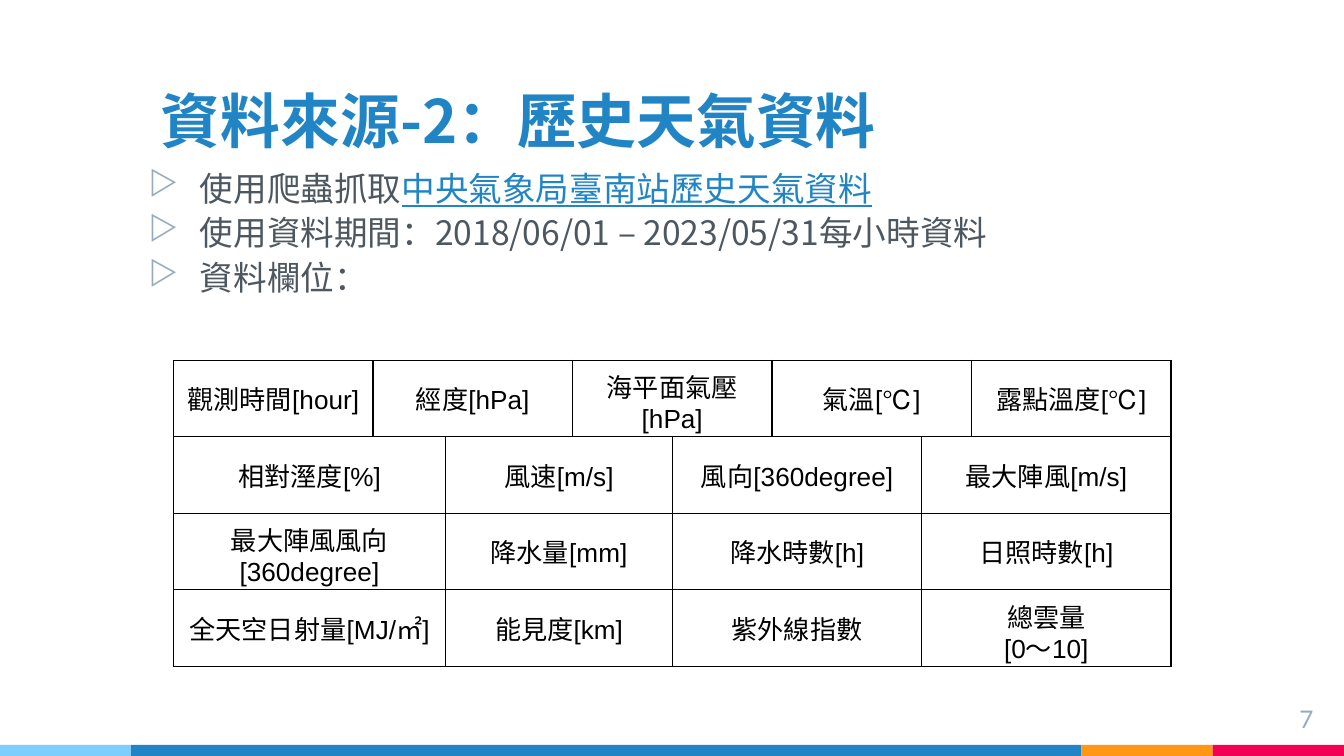
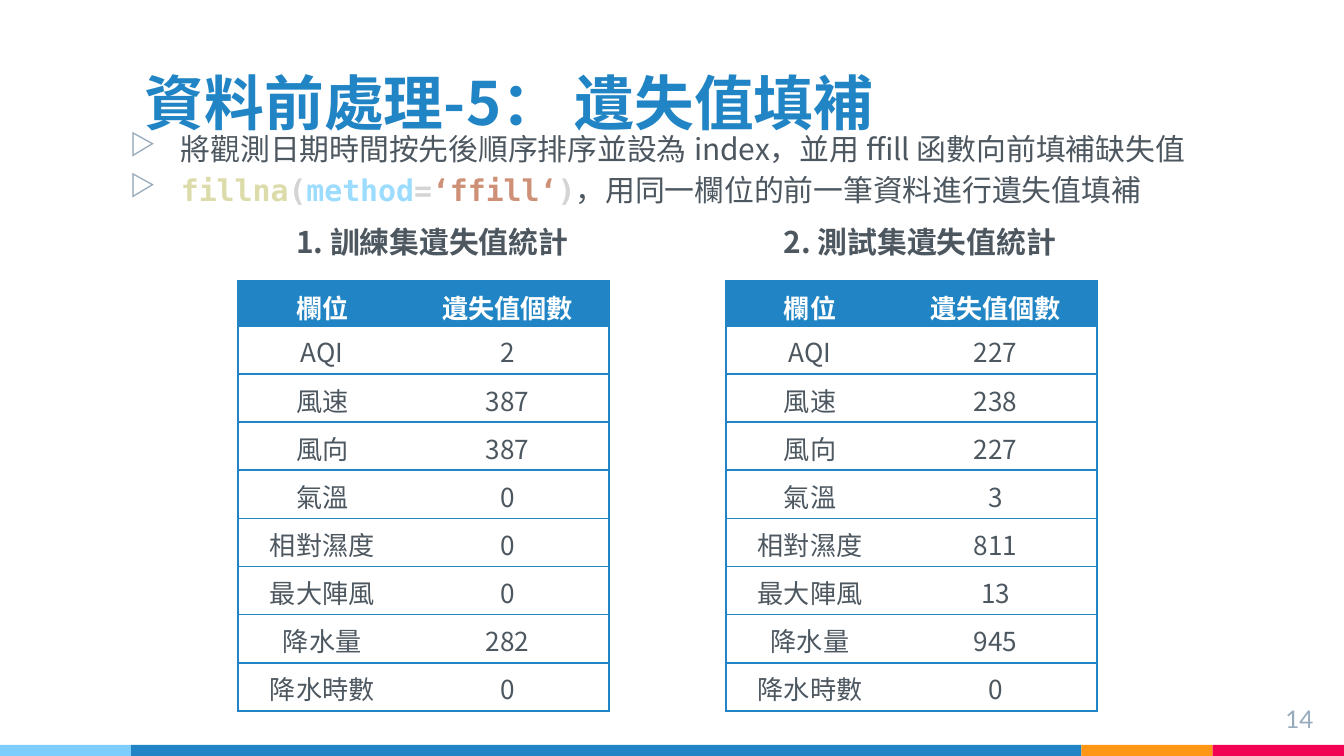
from dataclasses import dataclass

from lxml import etree
from pptx import Presentation
from pptx.dml.color import RGBColor
from pptx.enum.shapes import MSO_SHAPE
from pptx.enum.text import MSO_ANCHOR, PP_ALIGN
from pptx.oxml.ns import qn
from pptx.util import Cm, Pt

RECTANGLE = MSO_SHAPE.RECTANGLE
TOP, MIDDLE, BOTTOM = MSO_ANCHOR.TOP, MSO_ANCHOR.MIDDLE, MSO_ANCHOR.BOTTOM
LEFT, CENTER, RIGHT = PP_ALIGN.LEFT, PP_ALIGN.CENTER, PP_ALIGN.RIGHT
PLAIN_TABLE_STYLE = "{2D5ABB26-0587-4C30-8999-92F81FD0307C}"


@dataclass(frozen=True)
class Theme:
    blue: str = "2185C5"
    sky: str = "7ECEFD"
    orange: str = "FF9715"
    red: str = "F20253"
    gray: str = "4D5760"
    pale: str = "97ABBC"
    white: str = "FFFFFF"
    black: str = "000000"
    code_function: str = "DCDCAA"
    code_sign: str = "D4D4D4"
    code_argument: str = "9CDCFE"
    code_string: str = "CE9178"
    font: str = "Noto Sans CJK TC"
    table_font: str = "Noto Sans CJK SC"
    unit_font: str = "Arial"
    code_font: str = "DejaVu Sans Mono"
    number_font: str = "Lato"
    title_size: int = 32
    body_size: int = 18
    small_body_size: int = 16
    table_size: int = 14
    number_size: int = 13
    tight_lines: float = 0.83


THEME = Theme()

FIELD_ROW = [("觀測時間", "[hour]"), ("經度", "[hPa]"), ("海平面氣壓", "[hPa]"),
             ("氣溫", "[℃]"), ("露點溫度", "[℃]")]
FIELD_GRID = [
    [("相對溼度", "[%]"), ("風速", "[m/s]"), ("風向", "[360degree]"), ("最大陣風", "[m/s]")],
    [("最大陣風風向", "[360degree]"), ("降水量", "[mm]"), ("降水時數", "[h]"), ("日照時數", "[h]")],
    [("全天空日射量", "[MJ/㎡]"), ("能見度", "[km]"), ("紫外線指數", ""), ("總雲量", "\n[0～10]")],
]
MISSING_FIELDS = ["AQI", "風速", "風向", "氣溫", "相對濕度", "最大陣風", "降水量", "降水時數"]
TRAINING_COUNTS = [2, 387, 387, 0, 0, 0, 282, 0]
TEST_COUNTS = [227, 238, 227, 3, 811, 13, 945, 0]


def write_text(paragraph, text, *, size, color=THEME.gray, font=THEME.font,
               bold=False, underline=False):
    run = paragraph.add_run()
    run.text = text
    run.font.size = Pt(size)
    run.font.name = font
    run.font.bold = bold
    run.font.underline = underline
    run.font.color.rgb = RGBColor.from_string(color)
    east_asian = etree.SubElement(run.font._element, qn("a:ea"))
    east_asian.set("typeface", font)


def add_text_frame(slide, left, top, width, height, anchor=TOP, bottom_inset=0.25):
    frame = slide.shapes.add_textbox(Cm(left), Cm(top), Cm(width), Cm(height)).text_frame
    frame.word_wrap = True
    frame.vertical_anchor = anchor
    frame.margin_left = frame.margin_right = frame.margin_top = Cm(0.25)
    frame.margin_bottom = Cm(bottom_inset)
    return frame


def set_indent(paragraph, left, first=0):
    properties = paragraph._p.get_or_add_pPr()
    properties.set("marL", str(Cm(left)))
    properties.set("indent", str(Cm(first)))
    return properties


def add_bullet(paragraph):
    properties = set_indent(paragraph, 1.27, -0.97)
    bullet_color = etree.SubElement(properties, qn("a:buClr"))
    etree.SubElement(bullet_color, qn("a:srgbClr")).set("val", THEME.pale)
    etree.SubElement(properties, qn("a:buChar")).set("char", "▷")


def add_bullet_list(slide, left, top, width, height, size, items):
    """Each item is a list of (text, format) runs."""
    frame = add_text_frame(slide, left, top, width, height)
    for index, runs in enumerate(items):
        paragraph = frame.add_paragraph() if index else frame.paragraphs[0]
        paragraph.space_before = Pt(6)
        paragraph.line_spacing = THEME.tight_lines
        add_bullet(paragraph)
        for text, text_format in runs:
            write_text(paragraph, text, size=size, **text_format)


def add_title(slide, text, top, indent=0):
    frame = add_text_frame(slide, 2.49, top, 17.96, 2.39, BOTTOM, bottom_inset=0.17)
    paragraph = frame.paragraphs[0]
    set_indent(paragraph, indent)
    write_text(paragraph, text, size=THEME.title_size, color=THEME.blue, bold=True)


def add_table_heading(slide, text, left):
    paragraph = add_text_frame(slide, left, 4.09, 6.48, 1.73).paragraphs[0]
    paragraph.alignment = CENTER
    paragraph.space_before = Pt(6)
    paragraph.line_spacing = THEME.tight_lines
    set_indent(paragraph, 0.3)
    write_text(paragraph, text, size=THEME.small_body_size, bold=True)


def add_footer(slide, number):
    left = 0
    for width, color in [(2.48, THEME.sky), (17.96, THEME.blue),
                         (2.48, THEME.orange), (2.48, THEME.red)]:
        band = slide.shapes.add_shape(RECTANGLE, Cm(left), Cm(14.08), Cm(width), Cm(0.21))
        band.shadow.inherit = False
        band.fill.solid()
        band.fill.fore_color.rgb = RGBColor.from_string(color)
        band.line.fill.background()
        left += width
    paragraph = add_text_frame(slide, 23.55, 13.06, 1.52, 0.86).paragraphs[0]
    paragraph.alignment = RIGHT
    write_text(paragraph, str(number), size=THEME.number_size, color=THEME.pale,
               font=THEME.number_font)


def set_borders(cell, sides, color, width):
    """Draw the sides named by the letters L, R, T and B, in that order."""
    properties = cell._tc.get_or_add_tcPr()
    for side in sides:
        line = etree.SubElement(properties, qn(f"a:ln{side}"))
        line.set("w", str(Pt(width)))
        fill = etree.SubElement(line, qn("a:solidFill"))
        etree.SubElement(fill, qn("a:srgbClr")).set("val", color)


def add_plain_table(slide, left, top, column_widths, row_heights):
    table = slide.shapes.add_table(
        len(row_heights), len(column_widths), Cm(left), Cm(top),
        Cm(sum(column_widths)), Cm(sum(row_heights))).table
    table.first_row = table.horz_banding = False
    table._tbl.tblPr.find(qn("a:tableStyleId")).text = PLAIN_TABLE_STYLE
    for column, width in zip(table.columns, column_widths):
        column.width = Cm(width)
    for row, height in zip(table.rows, row_heights):
        row.height = Cm(height)
    return table


def add_field_table(slide, top, column_widths, row_height, rows):
    """Table of field names with units; a unit starting with a newline gets its own paragraph."""
    table = add_plain_table(slide, 3.28, top, column_widths, [row_height] * len(rows))
    for row, fields in zip(table.rows, rows):
        for cell, (name, unit) in zip(row.cells, fields):
            set_borders(cell, "LRTB", THEME.black, 0.75)
            cell.fill.background()
            cell.vertical_anchor = MIDDLE
            frame = cell.text_frame
            write_text(frame.paragraphs[0], name, size=THEME.table_size, color=THEME.black)
            if unit:
                paragraph = frame.add_paragraph() if unit[0] == "\n" else frame.paragraphs[0]
                write_text(paragraph, unit.strip(), size=THEME.table_size,
                           color=THEME.black, font=THEME.unit_font)
            for paragraph in frame.paragraphs:
                paragraph.alignment = CENTER


def add_missing_table(slide, left, counts):
    rows = [("欄位", "遺失值個數"), *zip(MISSING_FIELDS, map(str, counts))]
    heights = [0.79] + [0.91] * len(counts)
    table = add_plain_table(slide, left, 5.31, [3.18, 3.83], heights)
    for index, (row, texts) in enumerate(zip(table.rows, rows)):
        is_header = index == 0
        for cell, text, sides in zip(row.cells, texts, ["LTB", "RTB"]):
            set_borders(cell, sides, THEME.blue, 1)
            cell.fill.solid()
            cell.fill.fore_color.rgb = RGBColor.from_string(
                THEME.blue if is_header else THEME.white)
            paragraph = cell.text_frame.paragraphs[0]
            paragraph.alignment = CENTER
            write_text(paragraph, text, size=THEME.table_size, font=THEME.table_font,
                       color=THEME.white if is_header else THEME.gray, bold=is_header)


def code(color):
    return {"font": THEME.code_font, "color": color, "bold": True}


def build_weather_source(slide):
    add_footer(slide, 7)
    add_title(slide, "資料來源-2：歷史天氣資料", 0.71, indent=0.3)
    add_bullet_list(slide, 2.26, 3.05, 21.51, 1.63, THEME.body_size, [
        [("使用爬蟲抓取", {}),
         ("中央氣象局臺南站歷史天氣資料", {"color": THEME.blue, "underline": True})],
        [("使用資料期間：2018/06/01 – 2023/05/31每小時資料", {})],
        [("資料欄位：", {})],
    ])
    add_field_table(slide, 6.81, [3.77] * 5, 1.04, [FIELD_ROW])
    add_field_table(slide, 8.25, [5.14, 4.29, 4.71, 4.71], 1.45, FIELD_GRID)


def build_missing_values(slide):
    add_footer(slide, 14)
    add_title(slide, "資料前處理-5： 遺失值填補", 0.38)
    add_bullet_list(slide, 1.9, 2.34, 21.59, 2.39, THEME.small_body_size, [
        [("將觀測日期時間按先後順序排序並設為 index，並用 ffill 函數向前填補缺失值", {})],
        [("fillna", code(THEME.code_function)),
         ("(", code(THEME.code_sign)),
         ("method", code(THEME.code_argument)),
         ("=", code(THEME.code_sign)),
         ("‘ffill‘", code(THEME.code_string)),
         (")", code(THEME.code_sign)),
         ("，用同一欄位的前一筆資料進行遺失值填補", {})],
    ])
    for left, heading, counts in [(4.5, "1. 訓練集遺失值統計", TRAINING_COUNTS),
                                  (13.72, "2. 測試集遺失值統計", TEST_COUNTS)]:
        add_table_heading(slide, heading, left + 0.28)
        add_missing_table(slide, left, counts)


def main():
    presentation = Presentation()
    presentation.slide_width = Cm(25.4)
    presentation.slide_height = Cm(14.29)
    blank_layout = presentation.slide_layouts[6]
    for build in (build_weather_source, build_missing_values):
        build(presentation.slides.add_slide(blank_layout))
    presentation.save("out.pptx")


if __name__ == "__main__":
    main()
